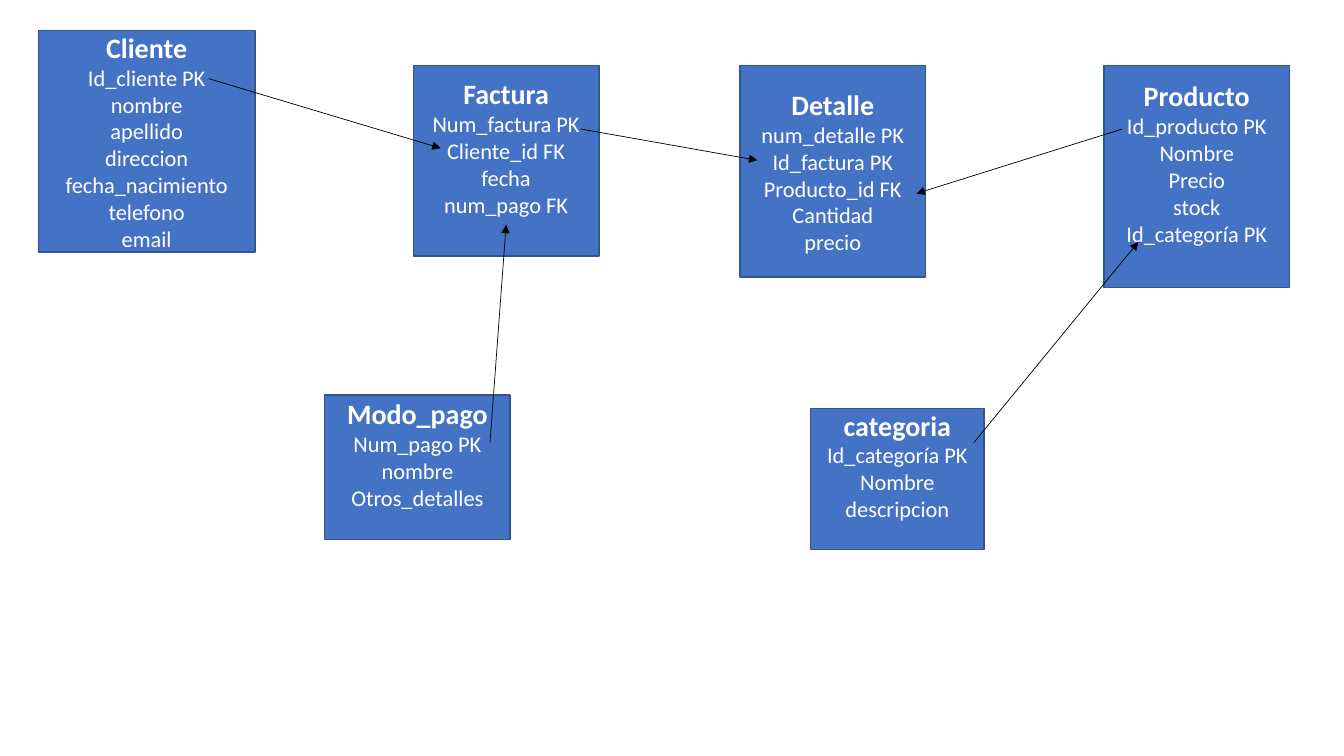
from dataclasses import dataclass

from lxml.etree import SubElement
from pptx import Presentation
from pptx.dml.color import RGBColor
from pptx.enum.shapes import MSO_CONNECTOR, MSO_SHAPE
from pptx.enum.text import MSO_ANCHOR, PP_ALIGN
from pptx.oxml.ns import qn
from pptx.util import Inches, Pt


@dataclass(frozen=True)
class Theme:
    font: str = "Calibri"
    fill: RGBColor = RGBColor(0x44, 0x72, 0xC4)
    border: RGBColor = RGBColor(0x32, 0x54, 0x91)
    text: RGBColor = RGBColor(0xFF, 0xFF, 0xFF)
    arrow: RGBColor = RGBColor(0, 0, 0)
    title_size: Pt = Pt(20)
    field_size: Pt = Pt(16)
    border_width: Pt = Pt(1)
    arrow_width: Pt = Pt(0.5)


THEME = Theme()
BOTTOM_INSET = 0.05
BLANK_LINE = 0.27

ENTITIES = [
    ("Cliente", (0.38, 0.3, 2.15, 2.2), 0,
     ["Id_cliente PK", "nombre", "apellido", "direccion",
      "fecha_nacimiento", "telefono", "email"]),
    ("Factura", (4.1, 0.65, 1.84, 1.89), BLANK_LINE,
     ["Num_factura PK", "Cliente_id FK", "fecha", "num_pago FK"]),
    ("Detalle", (7.34, 0.65, 1.84, 2.1), 0,
     ["num_detalle PK", "Id_factura PK", "Producto_id FK", "Cantidad", "precio"]),
    ("Modo_pago", (3.22, 3.92, 1.84, 1.43), BLANK_LINE,
     ["Num_pago PK", "nombre", "Otros_detalles"]),
    ("Producto", (10.95, 0.65, 1.84, 2.2), BLANK_LINE,
     ["Id_producto PK", "Nombre", "Precio", "stock", "Id_categoría PK"]),
    ("categoria", (8.04, 4.05, 1.72, 1.4), BLANK_LINE,
     ["Id_categoría PK", "Nombre", "descripcion"]),
]

RELATIONS = [
    ((2.07, 0.78), (4.37, 1.47)),
    ((5.76, 1.28), (7.51, 1.59)),
    ((11.13, 1.28), (9.09, 1.92)),
    ((4.86, 4.39), (5.02, 2.23)),
    ((9.66, 4.39), (11.29, 2.4)),
]


def apply_format(target, values):
    for name, value in values.items():
        setattr(target, name, value)


def add_line_of_text(paragraph, text, size, bold):
    paragraph.alignment = PP_ALIGN.CENTER
    run = paragraph.add_run()
    run.text = text
    apply_format(run.font, {"name": THEME.font, "size": size, "bold": bold})
    run.font.color.rgb = THEME.text


def add_entity(slide, box, title, fields, space_below):
    shape = slide.shapes.add_shape(MSO_SHAPE.RECTANGLE, *map(Inches, box))
    shape.shadow.inherit = False
    shape.fill.solid()
    shape.fill.fore_color.rgb = THEME.fill
    shape.line.color.rgb = THEME.border
    shape.line.width = THEME.border_width
    frame = shape.text_frame
    apply_format(frame, {
        "word_wrap": True,
        "vertical_anchor": MSO_ANCHOR.MIDDLE,
        "margin_bottom": Inches(BOTTOM_INSET + space_below),
    })
    add_line_of_text(frame.paragraphs[0], title, THEME.title_size, True)
    for field in fields:
        add_line_of_text(frame.add_paragraph(), field, THEME.field_size, False)


def add_relation(slide, start, end):
    connector = slide.shapes.add_connector(
        MSO_CONNECTOR.STRAIGHT, *map(Inches, start + end))
    connector.line.color.rgb = THEME.arrow
    connector.line.width = THEME.arrow_width
    properties = connector._element.spPr
    SubElement(properties.find(qn("a:ln")), qn("a:tailEnd"), type="triangle")
    SubElement(properties, qn("a:effectLst"))


def build_entity_diagram(presentation):
    slide = presentation.slides.add_slide(presentation.slide_layouts[6])
    for title, box, space_below, fields in ENTITIES:
        add_entity(slide, box, title, fields, space_below)
    for start, end in RELATIONS:
        add_relation(slide, start, end)


presentation = Presentation()
apply_format(presentation, {"slide_width": Inches(13.33), "slide_height": Inches(7.5)})
build_entity_diagram(presentation)
presentation.save("out.pptx")
